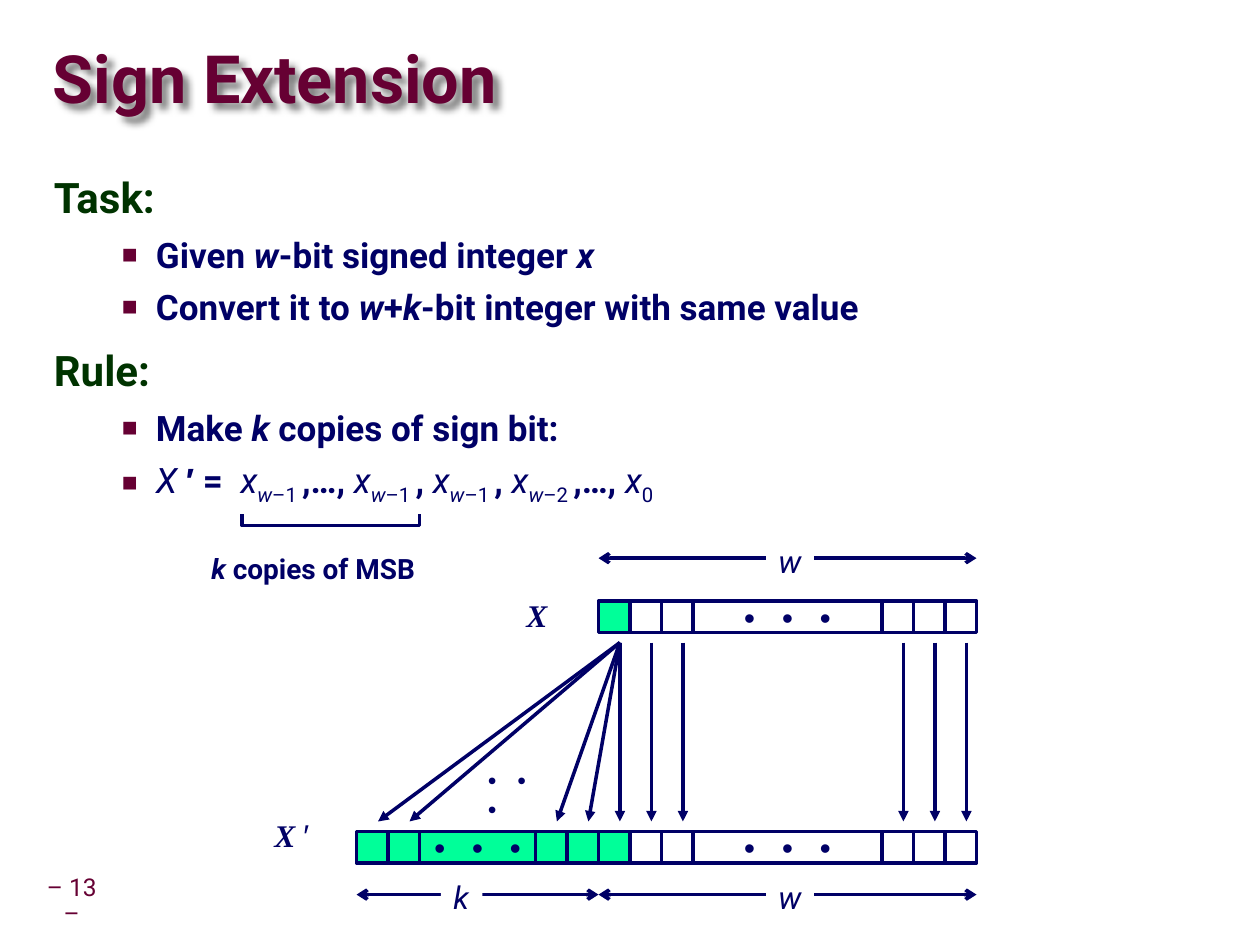
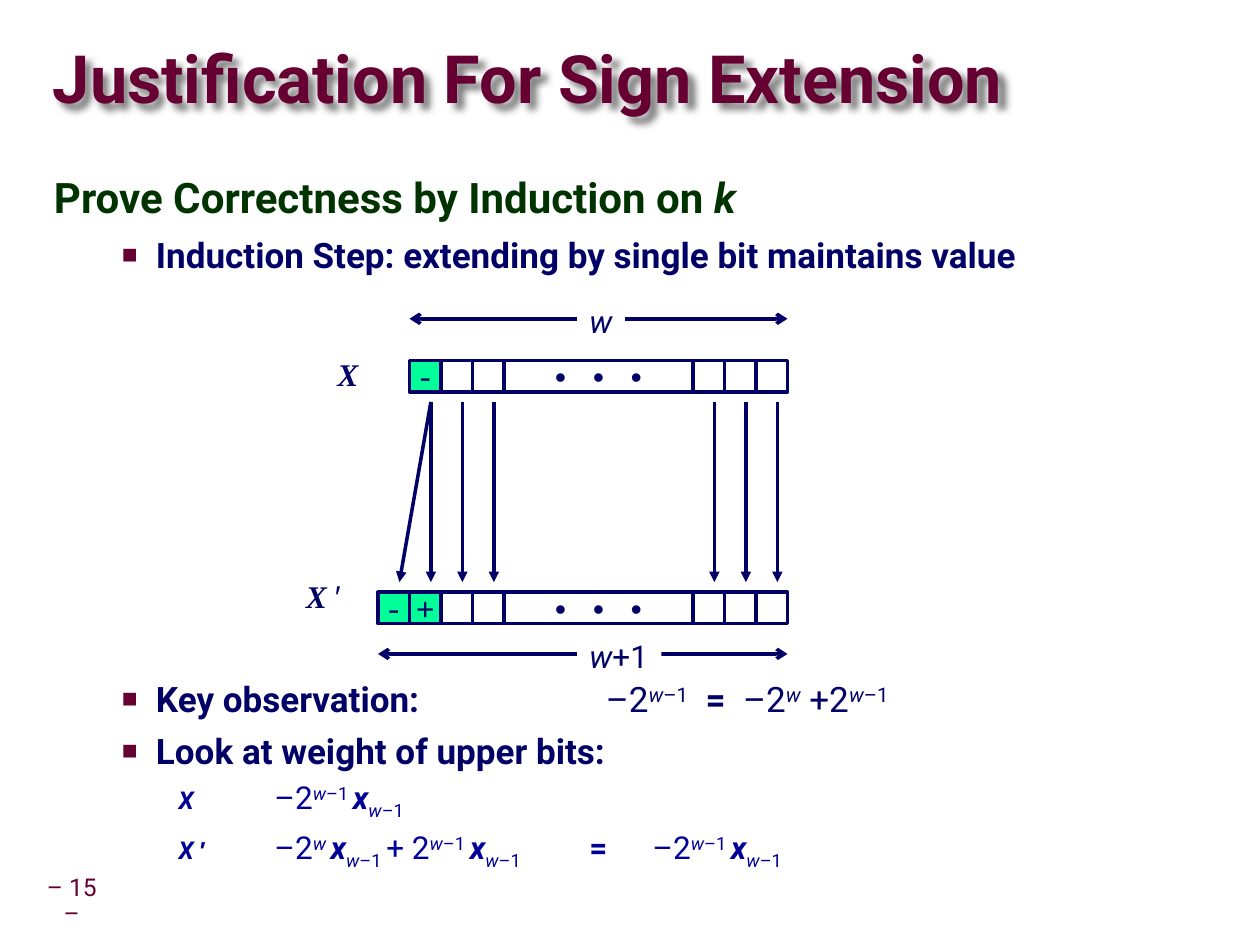
from lxml import etree
from pptx import Presentation
from pptx.dml.color import RGBColor
from pptx.enum import shapes, text
from pptx.oxml import ns
from pptx.util import Inches, Pt

HUE = {"wine": "660033", "green": "003300", "navy": "000066", "blue": "000099",
       "mint": "00FF99", "white": "FFFFFF", "black": "000000"}
SANS, MONO, SERIF = "Roboto", "Courier New", "Times New Roman"
UNIT, REACH, AIM = 0.25, 1.5, 0.17
DOTS = "• • •"

LEVELS = [
    {"size": 24, "hue": "green", "left": 0.42, "hang": -0.42, "gap": 12, "line": 0.95},
    {"size": 20, "hue": "navy", "left": 0.81, "hang": -0.27, "gap": 5.8, "line": 1},
    {"size": 18, "hue": "blue", "left": 1.25, "hang": -0.26, "gap": 2, "line": 1.07},
]

XMSB = [("x", "i"), ("w", "i-"), ("–1 ", "-")]
BOLDX = [("x", "bi"), ("w", "i-"), ("–1", "-")]
POW = [("–2", ""), ("w", "i+"), ("–1", "+")]
HIGH = POW[:2] + [("–1 ", "+")] + BOLDX
TOP = [(n, UNIT, "") for n in (0, 0.25, 0.5, 2.25, 2.5, 2.75)] + [(0.75, REACH, DOTS)]

SLIDES = [
    {"title": "Sign Extension", "wide": 6.68, "page": "– 13 –",
     "bodies": [(1.34, 3.0, [
         (0, [("Task:", "b")]),
         (1, [("Given ", "b"), ("w", "bi"), ("-bit signed integer ", "b"), ("x", "bi")]),
         (1, [("Convert it to ", "b"), ("w", "bi"), ("+", "b"), ("k", "bi"),
              ("-bit integer with same value", "b")]),
         (0, [("Rule:", "b")]),
         (1, [("Make ", "b"), ("k", "bi"), (" copies of sign bit:", "b")]),
         (1, [("X ", "i"), ("′", "ba"), (" =  ", "b"), *XMSB, (",…, ", "b"), *XMSB,
              (", ", "b"), *XMSB, (", ", "b"), ("x", "i"), ("w", "i-"), ("–2 ", "-"),
              (",…, ", "b"), ("x", "i"), ("0", "-")])])],
     "left": 4.75, "high": 4.77, "low": 6.6, "sign": "",
     "extra": [(-1.92, UNIT, ""), (-1.67, UNIT, ""), (-1.42, 0.92, DOTS),
               (-0.5, UNIT, ""), (-0.25, UNIT, "")],
     "mark": "", "names": (4.08, 2.08),
     "spans": [(4.75, 7.75, 4.43, 6.08, 0.38, [("w", "i")]),
               (4.75, 7.75, 7.1, 6.08, 0.38, [("w", "i")]),
               (2.83, 4.75, 7.1, 3.5, 0.33, [("k", "i")])]},
    {"title": "Justification For Sign Extension", "wide": 8.92, "page": "– 15 –",
     "bodies": [
         (1.34, 0.95, [
             (0, [("Prove Correctness by Induction on ", "b"), ("k", "bi")]),
             (1, [("Induction Step: extending by single bit maintains value", "b")])]),
         (5.33, 1.65, [
             (1, [("Key observation: \t", "b"), *POW, ("  =  ", "b"), *POW[:2],
                  (" +2", ""), *POW[1:]]),
             (1, [("Look at weight of upper bits:", "b")]),
             (2, [("X ", "bis"), ("\t\t", "b"), *HIGH]),
             (2, [("X ", "bis"), ("′", "bas"), ("\t\t", "b"), ("–2", ""), ("w ", "i+"),
                  *BOLDX[:2], ("–1 ", "-"), ("+ 2", ""), ("w", "i+"), ("–1 ", "+"),
                  *BOLDX, (" \t=\t", "b"), *HIGH])])],
     "left": 3.25, "high": 2.86, "low": 4.7, "sign": "-",
     "extra": [(-0.25, UNIT, "-")], "mark": "+", "names": (2.58, 2.33),
     "spans": [(3, 6.25, 5.19, 4.58, 0.67, [("w", "i"), ("+1", "")]),
               (3.25, 6.25, 2.53, 4.58, 0.38, [("w", "i")])]},
]


def paint(obj, vals):
    for key, val in vals.items():
        setattr(obj, key, val)


def color(name):
    return RGBColor.from_string(HUE[name])


def node(base, tag, **vals):
    return etree.SubElement(base, ns.qn("a:" + tag), vals)


def write(par, runs, size, hue, face=SANS):
    for words, style in runs:
        run = par.add_run()
        run.text = words
        paint(run.font, {"name": "Arial" if "a" in style else face,
                         "size": Pt(14 if "s" in style else size),
                         "bold": "b" in style, "italic": "i" in style})
        run.font.color.rgb = color(hue)
        for sign, base in (("-", "-25000"), ("+", "30000")):
            if sign in style:
                run._r.get_or_add_rPr().set("baseline", base)


def label(slide, at, runs, size=18, face=SANS, hue="navy", fill=None):
    box = slide.shapes.add_textbox(*map(Inches, at))
    box.text_frame.word_wrap = False
    if fill:
        box.fill.solid()
        box.fill.fore_color.rgb = color(fill)
    write(box.text_frame.paragraphs[0], runs, size, hue, face)
    return box


def body(slide, top, high, lines):
    box = slide.shapes.add_textbox(*map(Inches, (0.33, top, 9.07, high)))
    frame = box.text_frame
    frame.word_wrap = True
    for num, (level, runs) in enumerate(lines):
        par = frame.add_paragraph() if num else frame.paragraphs[0]
        look = LEVELS[level]
        paint(par, {"line_spacing": look["line"],
                    "space_before": Pt(look["gap"] if num else 0)})
        prop = par._p.get_or_add_pPr()
        prop.set("marL", str(Inches(look["left"])))
        prop.set("indent", str(Inches(look["hang"])))
        if level == 1:
            node(node(prop, "buClr"), "srgbClr", val=HUE["wine"])
            node(prop, "buSzPct", val="75000")
            node(prop, "buFont", typeface="Arial")
            node(prop, "buChar", char="■")
            if any("\t" in words for words, style in runs):
                node(node(prop, "tabLst"), "tab", pos=str(Inches(4.38)), algn="l")
        write(par, runs, look["size"], look["hue"])


def cell(slide, x, y, wide, words, fill):
    box = slide.shapes.add_shape(shapes.MSO_SHAPE.RECTANGLE,
                                 *map(Inches, (x, y, wide, UNIT)))
    box.shadow.inherit = False
    box.fill.solid()
    box.fill.fore_color.rgb = color(fill)
    box.line.color.rgb = color("navy")
    box.line.width = Pt(2)
    if words:
        paint(box.text_frame, {"word_wrap": False,
                               "vertical_anchor": text.MSO_ANCHOR.MIDDLE})
        par = box.text_frame.paragraphs[0]
        par.alignment = text.PP_ALIGN.CENTER
        write(par, [(words, "")], 18, "navy", MONO)


def arrow(slide, ends, **tips):
    link = slide.shapes.add_connector(shapes.MSO_CONNECTOR.STRAIGHT, *map(Inches, ends))
    link.line.color.rgb = color("navy")
    link.line.width = Pt(2)
    line = link.line._get_or_add_ln()
    for tag, kind in tips.items():
        node(line, tag, type=kind)
    node(link._element.spPr, "effectLst")


def frame(slide, data):
    head = slide.shapes.title
    paint(head, dict(zip(("left", "top", "width", "height"),
                         map(Inches, (0.42, 0.35, data["wide"], 0.61)))))
    paint(head.text_frame, {"margin_left": 0, "margin_right": 0, "margin_top": 0,
                            "margin_bottom": 0, "word_wrap": True,
                            "auto_size": text.MSO_AUTO_SIZE.NONE,
                            "vertical_anchor": text.MSO_ANCHOR.MIDDLE})
    par = head.text_frame.paragraphs[0]
    paint(par, {"alignment": text.PP_ALIGN.LEFT, "line_spacing": 0.87})
    write(par, [(data["title"], "b")], 38, "wine")
    shade = node(node(head._element.spPr, "effectLst"), "outerShdw", blurRad="50800",
                 dist="53900", dir="2700000", algn="ctr", rotWithShape="0")
    node(node(shade, "srgbClr", val=HUE["black"]), "alpha", val="50000")

    foot = label(slide, (0.34, 7, 0.46, 0.31), [(data["page"], "")], 14, hue="wine")
    paint(foot.text_frame, {"margin_left": 0, "margin_right": 0, "word_wrap": True,
                            "vertical_anchor": text.MSO_ANCHOR.MIDDLE})
    paint(foot.text_frame.paragraphs[0], {"alignment": text.PP_ALIGN.CENTER,
                                          "line_spacing": 0.9})


def bits(slide, data):
    left, high, low = data["left"], data["high"], data["low"]
    rows = ((high, TOP, data["sign"]), (low, data["extra"] + TOP, data["mark"]))
    for y, cells, sign in rows:
        for step, wide, words in cells:
            cell(slide, left + step, y, wide, words if step else sign,
                 "white" if step > 0 else "mint")
    for step, wide, words in rows[1][1]:
        if words != DOTS:
            arrow(slide, (left + max(step, 0) + AIM, high + 0.33,
                          left + step + AIM, low - 0.08), tailEnd="triangle")
    for x, y, tick in zip(data["names"], (high - 0.09, low - 0.17), ([], [("′", "a")])):
        runs = [("X " if tick else "X", "bi")] + tick
        label(slide, (x, y, 0.49 if tick else 0.43, 0.4), runs, face=SERIF)
    for start, end, y, x, wide, runs in data["spans"]:
        arrow(slide, (start, y, end, y), headEnd="arrow", tailEnd="arrow")
        label(slide, (x, y - 0.18, wide, 0.4), runs, fill="white")


def copies(slide):
    pen = slide.shapes.build_freeform(Inches(1.92), Inches(4.08))
    pen.add_line_segments([(Inches(x), Inches(y)) for x, y in
                           ((1.92, 4.17), (3.33, 4.17), (3.33, 4.08))], close=False)
    brace = pen.convert_to_shape()
    brace.shadow.inherit = False
    brace.fill.background()
    brace.line.color.rgb = color("navy")
    brace.line.width = Pt(2)
    label(slide, (1.58, 4.33, 1.91, 0.36), [("k", "bi"), (" copies of MSB", "b")], 16)
    label(slide, (3.75, 6.02, 0.78, 0.33), [(DOTS, "")], 14, MONO)


def main():
    deck = Presentation()
    paint(deck, {"slide_width": Inches(10), "slide_height": Inches(7.5)})
    for num, data in enumerate(SLIDES):
        slide = deck.slides.add_slide(deck.slide_layouts[5])
        frame(slide, data)
        for part in data["bodies"]:
            body(slide, *part)
        bits(slide, data)
        if num == 0:
            copies(slide)
    deck.save("out.pptx")


if __name__ == "__main__":
    main()
